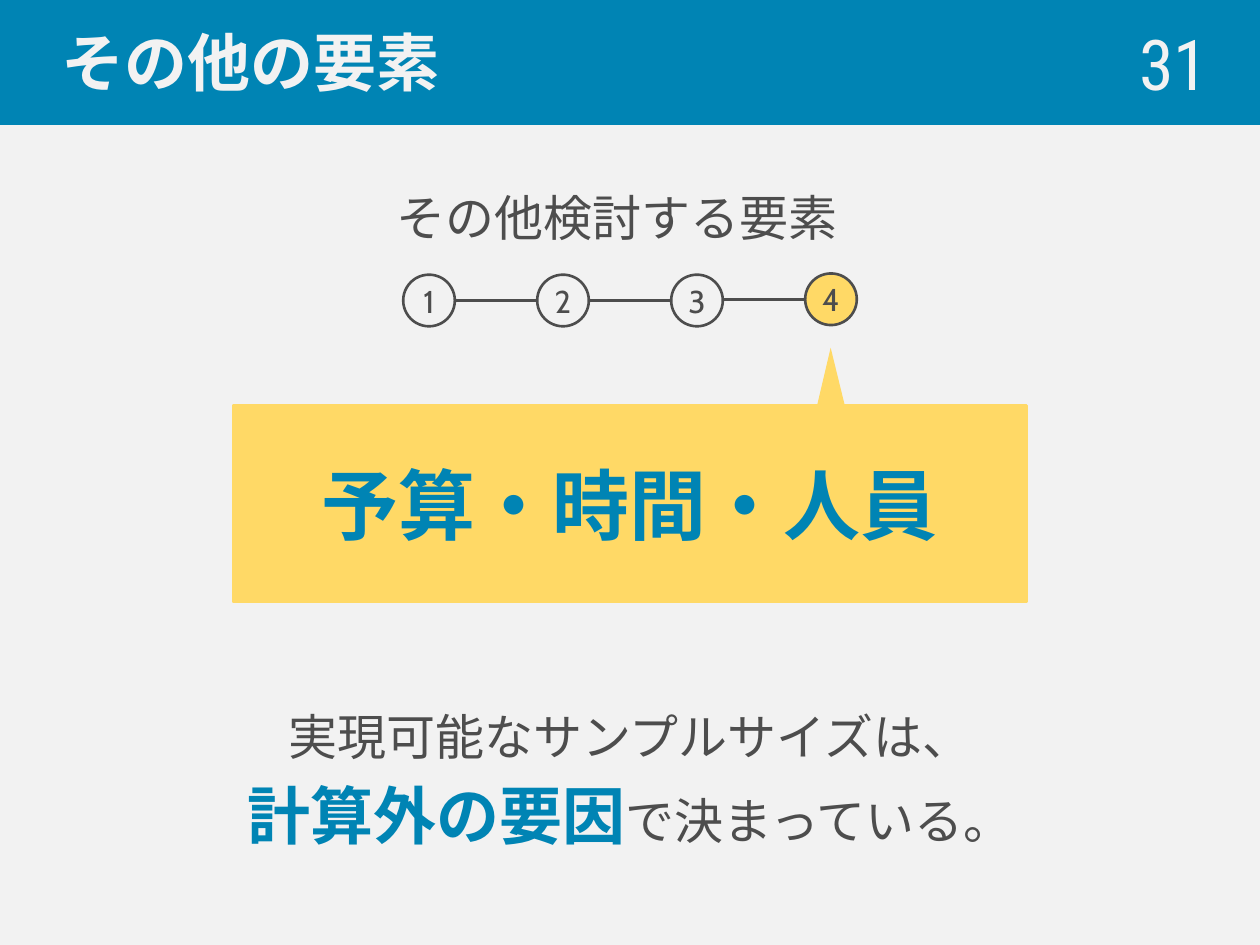
"""Build the slide on other factors that decide a sample size."""
from dataclasses import dataclass
from typing import Any, Optional

from lxml import etree
from pptx import Presentation
from pptx.dml.color import RGBColor
from pptx.enum.shapes import MSO_CONNECTOR, MSO_SHAPE
from pptx.enum.text import MSO_ANCHOR, PP_ALIGN
from pptx.oxml.ns import qn
from pptx.util import Inches, Pt

RECTANGLE, OVAL, TRIANGLE = MSO_SHAPE.RECTANGLE, MSO_SHAPE.OVAL, MSO_SHAPE.ISOSCELES_TRIANGLE
STRAIGHT = MSO_CONNECTOR.STRAIGHT
TOP, MIDDLE = MSO_ANCHOR.TOP, MSO_ANCHOR.MIDDLE
LEFT, CENTER, RIGHT = PP_ALIGN.LEFT, PP_ALIGN.CENTER, PP_ALIGN.RIGHT

COLORS = {"paper": "F2F2F2", "blue": "0084B4", "yellow": "FFD966", "ink": "4D4D4D"}
JAPANESE, LATIN, NARROW = "Noto Sans CJK JP", "Cabin", "Roboto Condensed"
LINE_WIDTH = Pt(1.5)
STEP_SIZE = 0.41
STEP_LEFT = 3.2
STEP_PITCH = 3.19 / 3


@dataclass
class Words:
    text: str
    size: int
    color: str
    font: str = LATIN
    bold: bool = False


@dataclass
class Box:
    left: float
    top: float
    width: float
    height: float

    def lengths(self) -> list:
        return [Inches(v) for v in (self.left, self.top, self.width, self.height)]


@dataclass
class Step:
    number: int
    top: float
    fill: Optional[str] = None

    @property
    def left(self) -> float:
        return STEP_LEFT + (self.number - 1) * STEP_PITCH

    @property
    def middle(self) -> float:
        return self.top + STEP_SIZE / 2


STEPS = [Step(1, 2.18), Step(2, 2.18), Step(3, 2.18), Step(4, 2.17, "yellow")]


def rgb(name: str) -> RGBColor:
    return RGBColor.from_string(COLORS[name])


def apply(target: Any, values: dict) -> None:
    for attribute, value in values.items():
        setattr(target, attribute, value)


def write(shape: Any, paragraphs: list[list[Words]], frame_format: dict,
          paragraph_format: dict) -> None:
    frame = shape.text_frame
    apply(frame, {"word_wrap": True, "vertical_anchor": MIDDLE} | frame_format)
    for index, phrases in enumerate(paragraphs):
        paragraph = frame.add_paragraph() if index else frame.paragraphs[0]
        apply(paragraph, paragraph_format)
        for words in phrases:
            run = paragraph.add_run()
            run.text = words.text
            apply(run.font, {"size": Pt(words.size), "bold": words.bold, "name": words.font})
            run.font.color.rgb = rgb(words.color)
            properties = run.font._element
            properties.set("lang", "ja-JP")
            properties.find(qn("a:latin")).addnext(
                etree.Element(qn("a:ea"), typeface=JAPANESE))


def add_figure(slide: Any, kind: Any, box: Box, fill: Optional[str],
               line: Optional[str]) -> Any:
    figure = slide.shapes.add_shape(kind, *box.lengths())
    figure.shadow.inherit = False
    if fill:
        figure.fill.solid()
        figure.fill.fore_color.rgb = rgb(fill)
    else:
        figure.fill.background()
    if line:
        figure.line.color.rgb = rgb(line)
        figure.line.width = LINE_WIDTH
    else:
        figure.line.fill.background()
    return figure


def add_text(slide: Any, box: Box, paragraphs: list[list[Words]], frame_format: dict,
             paragraph_format: dict) -> None:
    write(slide.shapes.add_textbox(*box.lengths()), paragraphs, frame_format, paragraph_format)


def add_step(slide: Any, step: Step) -> None:
    circle = add_figure(slide, OVAL, Box(step.left, step.top, STEP_SIZE, STEP_SIZE),
                        step.fill, "ink")
    margins = {f"margin_{side}": 0 for side in ("left", "right", "top", "bottom")}
    write(circle, [[Words(str(step.number), 18, "ink")]], margins | {"word_wrap": False},
          {"alignment": CENTER})


def add_link(slide: Any, start: Step, end: Step) -> None:
    ends = (start.left + STEP_SIZE, end.middle, end.left, end.middle)
    link = slide.shapes.add_connector(STRAIGHT, *[Inches(v) for v in ends])
    link.line.color.rgb = rgb("ink")
    link.line.width = LINE_WIDTH
    etree.SubElement(link._element.spPr, qn("a:effectLst"))


def main() -> None:
    deck = Presentation()
    apply(deck, {"slide_width": Inches(10), "slide_height": Inches(7.5)})
    slide = deck.slides.add_slide(deck.slide_layouts[6])
    slide.background.fill.solid()
    slide.background.fill.fore_color.rgb = rgb("paper")

    header = add_figure(slide, RECTANGLE, Box(0, 0, 10, 0.98), "blue", "blue")
    write(header, [[Words("その他の要素", 36, "paper", JAPANESE, True)]],
          {"margin_left": Inches(0.49)}, {"alignment": LEFT})
    add_text(slide, Box(7.76, 0.19, 1.93, 0.61), [[Words("31", 40, "paper", NARROW)]],
             {}, {"alignment": RIGHT})
    add_text(slide, Box(3.05, 1.44, 3.74, 0.57), [[Words("その他検討する要素", 28, "ink")]],
             {"word_wrap": False, "vertical_anchor": TOP}, {"alignment": LEFT})

    callout = add_figure(slide, RECTANGLE, Box(1.85, 3.22, 6.3, 1.56), "yellow", "yellow")
    write(callout, [[Words("予算・時間・人員", 44, "blue", JAPANESE, True)]],
          {}, {"alignment": CENTER})
    pointer = add_figure(slide, TRIANGLE, Box(6.47, 2.76, 0.25, 0.52), "yellow", None)
    pointer.adjustments[0] = 0.49

    conclusion = [
        [Words("実現可能なサンプルサイズは、", 28, "ink")],
        [Words("計算外の要因", 36, "blue", bold=True), Words("で決まっている。", 28, "ink")],
    ]
    add_text(slide, Box(1.85, 5.56, 6.3, 1.26), conclusion, {"vertical_anchor": TOP},
             {"alignment": CENTER, "space_after": Pt(6)})

    for step in STEPS:
        add_step(slide, step)
    for start, end in zip(STEPS, STEPS[1:]):
        add_link(slide, start, end)
    deck.save("out.pptx")


if __name__ == "__main__":
    main()
